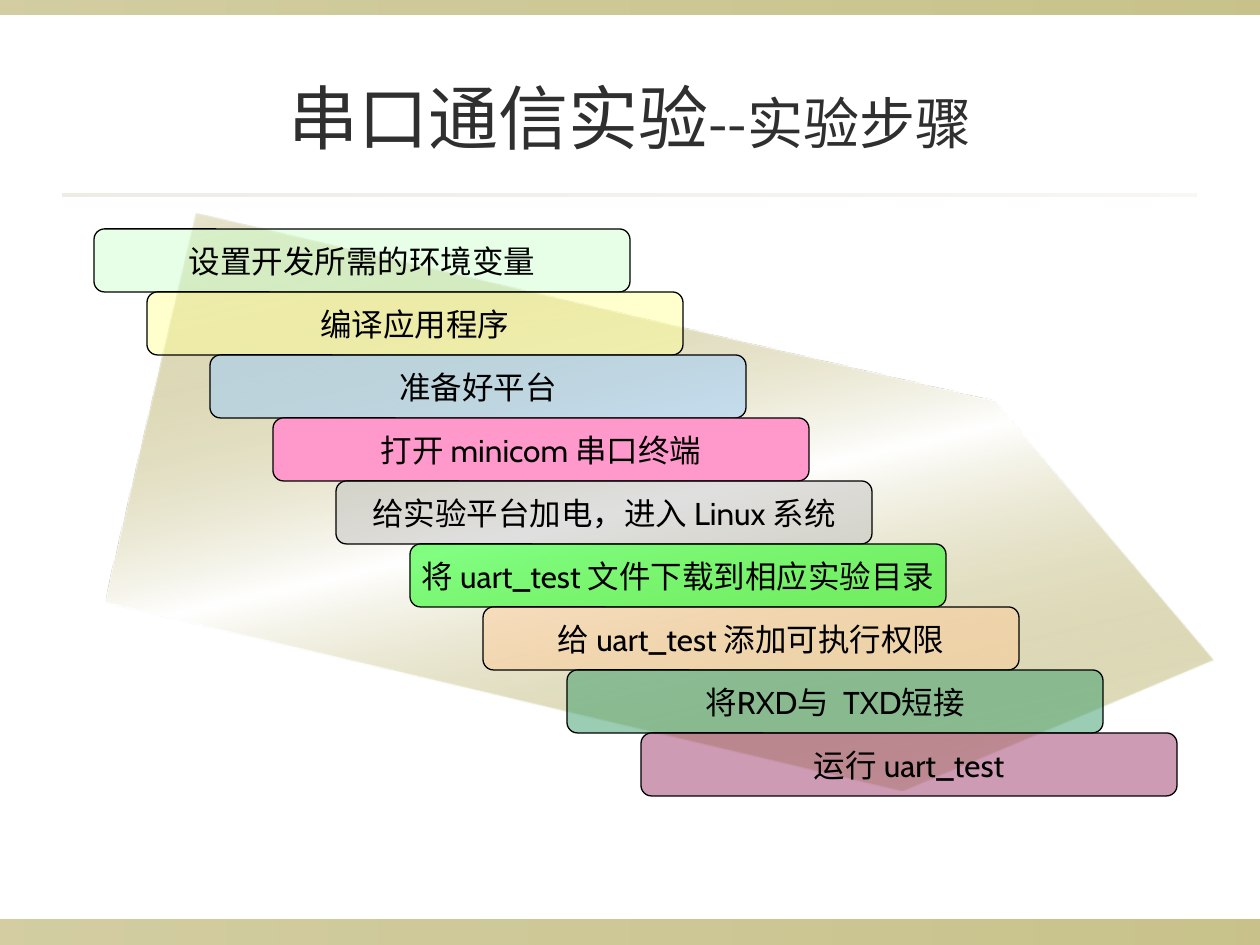
from lxml import etree
from pptx import Presentation
from pptx import util as u
from pptx.dml.color import RGBColor
from pptx.enum import shapes, text
from pptx.oxml.ns import qn

PX = 914400 / 126  # EMU in one px

THEME = {
    "olive": "918415", "rule": "DCD9CC", "white": "FFFFFF",
    "title": "2F2F2F", "ink": "000000",
    "latin": "Cabin", "cjk": "Noto Sans CJK SC",
    "title_size": 40, "subtitle_size": 32, "step_size": 18, "outline": 0.75,
}

# Content: title spans as text, size, font
TITLE = [
    ("串口通信实验", THEME["title_size"], THEME["latin"]),
    ("--", THEME["subtitle_size"], THEME["cjk"]),
    ("实验步骤", THEME["subtitle_size"], THEME["latin"]),
]

# Steps: text, left, colour, opacity in percent
STEPS = [
    ("设置开发所需的环境变量", 94, "CCFFCC", 49),
    ("编译应用程序", 147, "FFFF99", 49),
    ("准备好平台", 210, "99CCFF", 49),
    ("打开 minicom 串口终端", 273, "FF99CC", 100),
    ("给实验平台加电，进入 Linux 系统", 336, "C0C0C0", 49),
    ("将 uart_test 文件下载到相应实验目录", 410, "00FF00", 49),
    ("给 uart_test 添加可执行权限", 483, "FFCC99", 49),
    ("将RXD与  TXD短接", 567, "339966", 49),
    ("运行 uart_test", 641, "993366", 49),
]
STEP_TOP, STEP_WIDTH, STEP_HEIGHT = 229, 536, 63

# Bands: left, top, width, height, colour, opacity at start and end
BANDS = [
    (0, 920, 1260, 25, THEME["olive"], 40, 50),
    (0, 0, 1260, 15, THEME["olive"], 40, 50),
    (63, 194, 1134, 3, THEME["rule"], 50, 20),
]

SWEEP = [(197, 214), (995, 402), (1214, 660), (903, 791), (106, 602)]
SWEEP_STOPS = [(0, THEME["olive"], 18), (50, THEME["white"], 100),
               (100, THEME["olive"], 18)]


def px(*values):
    return [u.Emu(round(value * PX)) for value in values]


def add_colour(parent, colour, opacity):
    node = etree.SubElement(parent, qn("a:srgbClr"), val=colour)
    if opacity < 100:
        etree.SubElement(node, qn("a:alpha"), val=str(opacity * 1000))


def paint_gradient(shape, stops, angle=0):
    shape.fill.background()
    empty = shape._element.spPr.find(qn("a:noFill"))
    gradient = etree.Element(qn("a:gradFill"), rotWithShape="1")
    stop_list = etree.SubElement(gradient, qn("a:gsLst"))
    for position, colour, opacity in stops:
        stop = etree.SubElement(stop_list, qn("a:gs"), pos=str(position * 1000))
        add_colour(stop, colour, opacity)
    etree.SubElement(gradient, qn("a:lin"), ang=str(angle * 60000), scaled="0")
    empty.getparent().replace(empty, gradient)
    shape.line.fill.background()
    shape.shadow.inherit = False


def paint_solid(shape, colour, opacity):
    shape.fill.solid()
    shape.fill.fore_color.rgb = RGBColor.from_string(colour)
    solid = shape._element.spPr.find(qn("a:solidFill"))
    solid.remove(solid[0])
    add_colour(solid, colour, opacity)
    shape.shadow.inherit = False


def write(shape, spans, colour, wrap):
    frame = shape.text_frame
    formats = {
        "word_wrap": wrap, "vertical_anchor": text.MSO_ANCHOR.MIDDLE,
        "margin_left": u.Inches(0.1), "margin_right": u.Inches(0.1),
        "margin_top": u.Inches(0.05), "margin_bottom": u.Inches(0.05),
    }
    for name, value in formats.items():
        setattr(frame, name, value)
    para = frame.paragraphs[0]
    para.alignment = text.PP_ALIGN.CENTER
    for words, size, font in spans:
        span = para.add_run()
        span.text = words
        for name, value in {"size": u.Pt(size), "name": font}.items():
            setattr(span.font, name, value)
        span.font.color.rgb = RGBColor.from_string(colour)
        etree.SubElement(span._r.get_or_add_rPr(), qn("a:ea"),
                         typeface=THEME["cjk"])


def main():
    deck = Presentation()
    deck.slide_width, deck.slide_height = px(1260, 945)
    page = deck.slides.add_slide(deck.slide_layouts[6])

    # Top and bottom bands, rule under the title
    for *place, colour, start, end in BANDS:
        band = page.shapes.add_shape(shapes.MSO_SHAPE.RECTANGLE, *px(*place))
        paint_gradient(band, [(0, colour, start), (100, colour, end)])

    # Title
    title = page.shapes.add_textbox(*px(63, 38, 1134, 157))
    write(title, TITLE, THEME["title"], True)

    # Sweep behind the steps
    builder = page.shapes.build_freeform(*SWEEP[0], scale=PX)
    builder.add_line_segments(SWEEP[1:], close=True)
    paint_gradient(builder.convert_to_shape(), SWEEP_STOPS, 77)

    # Staircase of steps
    for row, (words, left, colour, opacity) in enumerate(STEPS):
        top = STEP_TOP + row * STEP_HEIGHT
        box = page.shapes.add_shape(
            shapes.MSO_SHAPE.FLOWCHART_ALTERNATE_PROCESS,
            *px(left, top, STEP_WIDTH, STEP_HEIGHT))
        paint_solid(box, colour, opacity)
        box.line.color.rgb = RGBColor.from_string(THEME["ink"])
        box.line.width = u.Pt(THEME["outline"])
        write(box, [(words, THEME["step_size"], THEME["latin"])],
              THEME["ink"], False)

    deck.save("out.pptx")


if __name__ == "__main__":
    main()
